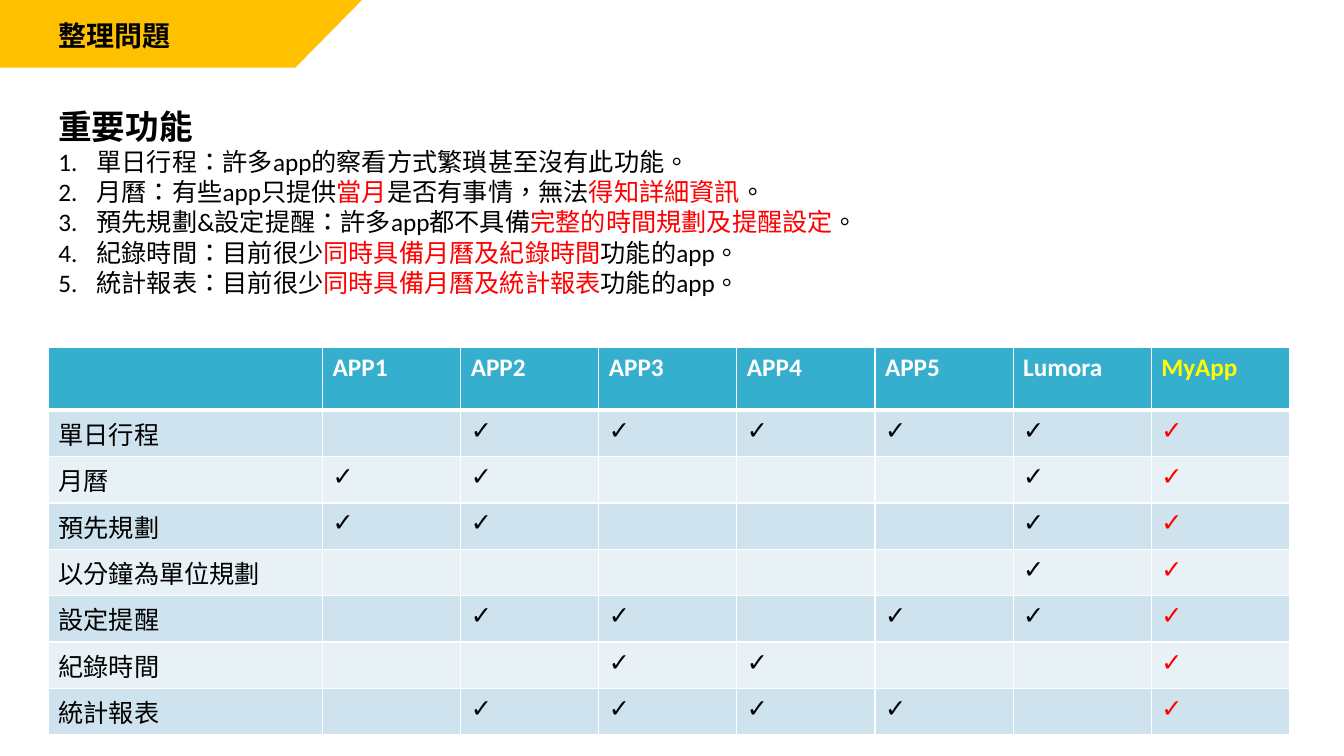
import pptx
import pptx.dml.color
import pptx.enum.text
import pptx.oxml.ns
import pptx.util
from lxml import etree

Inches = pptx.util.Inches

# Content: (text, colour) runs per numbered point
TITLE = "整理問題"
HEADING = "重要功能"
POINTS = [
    [("單日行程：許多app的察看方式繁瑣甚至沒有此功能。", "black")],
    [("月曆：有些app只提供", "black"), ("當月", "red"), ("是否有事情，無法", "black"),
     ("得知詳細資訊", "red"), ("。", "black")],
    [("預先規劃&設定提醒：許多app都不具備", "black"),
     ("完整的時間規劃及提醒設定", "red"), ("。", "black")],
    [("紀錄時間：目前很少", "black"), ("同時具備月曆及紀錄時間", "red"),
     ("功能的app。", "black")],
    [("統計報表：目前很少", "black"), ("同時具備月曆及統計報表", "red"),
     ("功能的app。", "black")],
]
APPS = ["APP1", "APP2", "APP3", "APP4", "APP5", "Lumora", "MyApp"]
FEATURES = {
    "單日行程": ["APP2", "APP3", "APP4", "APP5", "Lumora", "MyApp"],
    "月曆": ["APP1", "APP2", "Lumora", "MyApp"],
    "預先規劃": ["APP1", "APP2", "Lumora", "MyApp"],
    "以分鐘為單位規劃": ["Lumora", "MyApp"],
    "設定提醒": ["APP2", "APP3", "APP5", "Lumora", "MyApp"],
    "紀錄時間": ["APP3", "APP4", "MyApp"],
    "統計報表": ["APP2", "APP3", "APP4", "APP5", "MyApp"],
}
COLORS = {"black": "000000", "red": "FF0000", "white": "FFFFFF", "yellow": "FFFF00",
          "banner": "FFC000", "header": "36AFCE", "band": "CEE3ED", "pale": "E8F2F6"}
LATIN, CJK = "Calibri", "Noto Sans CJK SC"
LEFT = 0.48
INDENT = 0.38


def rgb(name):
    return pptx.dml.color.RGBColor.from_string(COLORS[name])


def add_child(parent, tag, **attributes):
    child = etree.SubElement(parent, pptx.oxml.ns.qn(tag))
    for key, value in attributes.items():
        child.set(key, str(value))
    return child


def format_run(run, size, color, bold=False, font=LATIN):
    run.font.size = pptx.util.Pt(size)
    run.font.bold = bold
    run.font.color.rgb = rgb(color)
    run.font.name = font
    properties = run._r.get_or_add_rPr()
    properties.set("lang", "zh-TW")
    add_child(properties, "a:ea", typeface=font)


def add_text(slide, left, top, width, height):
    frame = slide.shapes.add_textbox(*map(Inches, (left, top, width, height))).text_frame
    frame.word_wrap = True
    return frame


def number_paragraph(paragraph):
    properties = paragraph._p.get_or_add_pPr()
    properties.set("marL", str(Inches(INDENT)))
    properties.set("indent", str(-Inches(INDENT)))
    add_child(properties, "a:buFont", typeface=CJK)
    add_child(properties, "a:buAutoNum", type="arabicPeriod")


def fill_cell(cell, fill, text, color, bold=False, font=LATIN):
    cell.text_frame.text = text
    for run in cell.text_frame.paragraphs[0].runs:
        format_run(run, 18, color, bold, font)
    cell.fill.solid()
    cell.fill.fore_color.rgb = rgb(fill)


def border_cell(cell, top, bottom):
    properties = cell._tc.get_or_add_tcPr()
    widths = {"a:lnL": 1, "a:lnR": 1, "a:lnT": top, "a:lnB": bottom}
    for position, (tag, width) in enumerate(widths.items()):
        line = add_child(properties, tag, w=pptx.util.Pt(width))
        add_child(add_child(line, "a:solidFill"), "a:srgbClr", val=COLORS["white"])
        properties.insert(position, line)


def main():
    presentation = pptx.Presentation()
    presentation.slide_width, presentation.slide_height = Inches(13.33), Inches(7.5)
    slide = presentation.slides.add_slide(presentation.slide_layouts[6])

    # Title banner
    builder = slide.shapes.build_freeform(0, 0)
    corners = [(3.59, 0), (2.93, 0.67), (0, 0.67)]
    builder.add_line_segments([(Inches(x), Inches(y)) for x, y in corners], close=True)
    banner = builder.convert_to_shape()
    banner.shadow.inherit = False
    banner.fill.solid()
    banner.fill.fore_color.rgb = rgb("banner")
    banner.line.fill.background()

    frame = add_text(slide, LEFT, 0.13, 4.01, 0.44)
    frame.text = TITLE
    format_run(frame.paragraphs[0].runs[0], 20, "black", bold=True)

    # Heading and numbered points
    frame = add_text(slide, LEFT, 1, 10.26, 2.02)
    frame.text = HEADING
    format_run(frame.paragraphs[0].runs[0], 24, "black", bold=True)
    for point in POINTS:
        paragraph = frame.add_paragraph()
        number_paragraph(paragraph)
        for text, color in point:
            run = paragraph.add_run()
            run.text = text
            format_run(run, 18, color)

    # Feature comparison table
    widths = [2.72] + [1.37] * len(APPS)
    heights = [0.62] + [0.46] * len(FEATURES)
    table = slide.shapes.add_table(
        len(heights), len(widths), Inches(LEFT), Inches(3.45),
        Inches(sum(widths)), Inches(sum(heights))).table
    for column, width in zip(table.columns, widths):
        column.width = Inches(width)
    for row, height in zip(table.rows, heights):
        row.height = Inches(height)

    for column, app in enumerate([""] + APPS):
        color = "yellow" if app == "MyApp" else "white"
        fill_cell(table.cell(0, column), "header", app, color, bold=True)
    for row, (feature, supported) in enumerate(FEATURES.items(), start=1):
        fill = "band" if row % 2 else "pale"
        fill_cell(table.cell(row, 0), fill, feature, "black", font=CJK)
        for column, app in enumerate(APPS, start=1):
            mark = "✓" if app in supported else ""
            color = "red" if app == "MyApp" else "black"
            fill_cell(table.cell(row, column), fill, mark, color)
    for row in range(len(heights)):
        for column in range(len(widths)):
            border_cell(table.cell(row, column), 3 if row == 1 else 1, 3 if row == 0 else 1)

    presentation.save("out.pptx")


if __name__ == "__main__":
    main()
